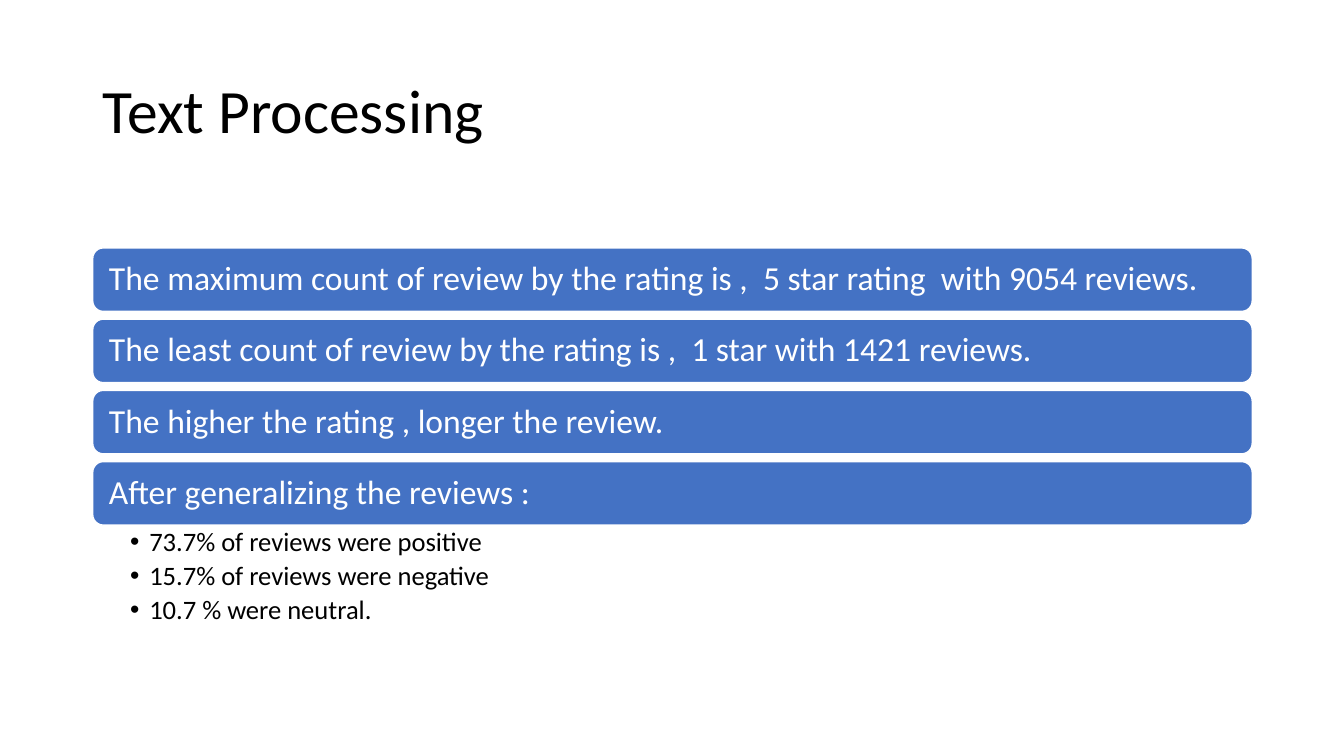
from dataclasses import dataclass
from typing import Any

from lxml.etree import SubElement
from pptx import Presentation
from pptx.dml.color import RGBColor
from pptx.enum.shapes import MSO_SHAPE as Preset
from pptx.enum.text import MSO_ANCHOR as Anchor, MSO_AUTO_SIZE as AutoSize, PP_ALIGN as Align
from pptx.oxml.ns import qn
from pptx.util import Inches, Pt

BLACK = RGBColor(0x00, 0x00, 0x00)
WHITE = RGBColor(0xFF, 0xFF, 0xFF)
BLUE = RGBColor(0x44, 0x72, 0xC4)

LEFT, WIDTH = 0.92, 11.5
FIRST_TOP, LAST_TOP, BAR_HEIGHT = 2.46, 4.58, 0.63
BULLET_INDENT = 0.19

FINDINGS = [
    "The maximum count of review by the rating is ,  5 star rating  with 9054 reviews.",
    "The least count of review by the rating is ,  1 star with 1421 reviews.",
    "The higher the rating , longer the review.",
    "After generalizing the reviews :",
]
SENTIMENTS = [
    "73.7% of reviews were positive",
    "15.7% of reviews were negative",
    "10.7 % were neutral.",
]


@dataclass(frozen=True)
class TextStyle:
    size: float
    color: RGBColor
    anchor: Any
    side_inset: float
    edge_inset: float
    space_after: float = 0


@dataclass(frozen=True)
class FindingBar:
    text: str
    top: float


TITLE_STYLE = TextStyle(44, BLACK, Anchor.MIDDLE, 0.1, 0.05)
BAR_STYLE = TextStyle(24, WHITE, Anchor.MIDDLE, 0.13, 0.03)
SENTIMENT_STYLE = TextStyle(19, BLACK, Anchor.TOP, 0.37, 0.03, 3.8)


def apply(target: Any, values: dict[str, Any]) -> None:
    for attribute, value in values.items():
        setattr(target, attribute, value)


def place(shape: Any, top: float, height: float) -> None:
    apply(shape, {"left": Inches(LEFT), "top": Inches(top),
                  "width": Inches(WIDTH), "height": Inches(height)})


def write(shape: Any, lines: list[str], style: TextStyle) -> None:
    frame = shape.text_frame
    frame.text = "\n".join(lines)
    apply(frame, {
        "word_wrap": True, "auto_size": AutoSize.NONE, "vertical_anchor": style.anchor,
        "margin_left": Inches(style.side_inset), "margin_right": Inches(0.1),
        "margin_top": Inches(style.edge_inset), "margin_bottom": Inches(style.edge_inset),
    })
    for paragraph in frame.paragraphs:
        apply(paragraph, {"alignment": Align.LEFT, "line_spacing": 0.9,
                          "space_before": Pt(0), "space_after": Pt(style.space_after)})
        for run in paragraph.runs:
            apply(run.font, {"name": "Calibri", "size": Pt(style.size)})
            run.font.color.rgb = style.color


def add_bullets(shape: Any) -> None:
    for paragraph in shape.text_frame.paragraphs:
        properties = paragraph._p.get_or_add_pPr()
        properties.set("marL", str(Inches(BULLET_INDENT)))
        properties.set("indent", str(-Inches(BULLET_INDENT)))
        SubElement(properties, qn("a:buFont"), typeface="Arial")
        SubElement(properties, qn("a:buChar"), char="•")


def draw_bar(slide: Any, finding: FindingBar) -> None:
    bar = slide.shapes.add_shape(Preset.ROUNDED_RECTANGLE, Inches(LEFT), Inches(finding.top),
                                 Inches(WIDTH), Inches(BAR_HEIGHT))
    bar.shadow.inherit = False
    bar.fill.solid()
    bar.fill.fore_color.rgb = BLUE
    bar.line.color.rgb = WHITE
    bar.line.width = Pt(1)
    write(bar, [finding.text], BAR_STYLE)


def main() -> None:
    deck = Presentation()
    apply(deck, {"slide_width": Inches(13.33), "slide_height": Inches(7.5)})
    slide = deck.slides.add_slide(deck.slide_layouts[1])

    heading = slide.shapes.title
    place(heading, 0.4, 1.45)
    write(heading, ["Text Processing"], TITLE_STYLE)

    pitch = (LAST_TOP - FIRST_TOP) / (len(FINDINGS) - 1)
    for index, text in enumerate(FINDINGS):
        draw_bar(slide, FindingBar(text, FIRST_TOP + index * pitch))

    sentiments = slide.placeholders[1]
    place(sentiments, LAST_TOP + BAR_HEIGHT, 1.09)
    write(sentiments, SENTIMENTS, SENTIMENT_STYLE)
    add_bullets(sentiments)

    deck.save("out.pptx")


if __name__ == "__main__":
    main()
